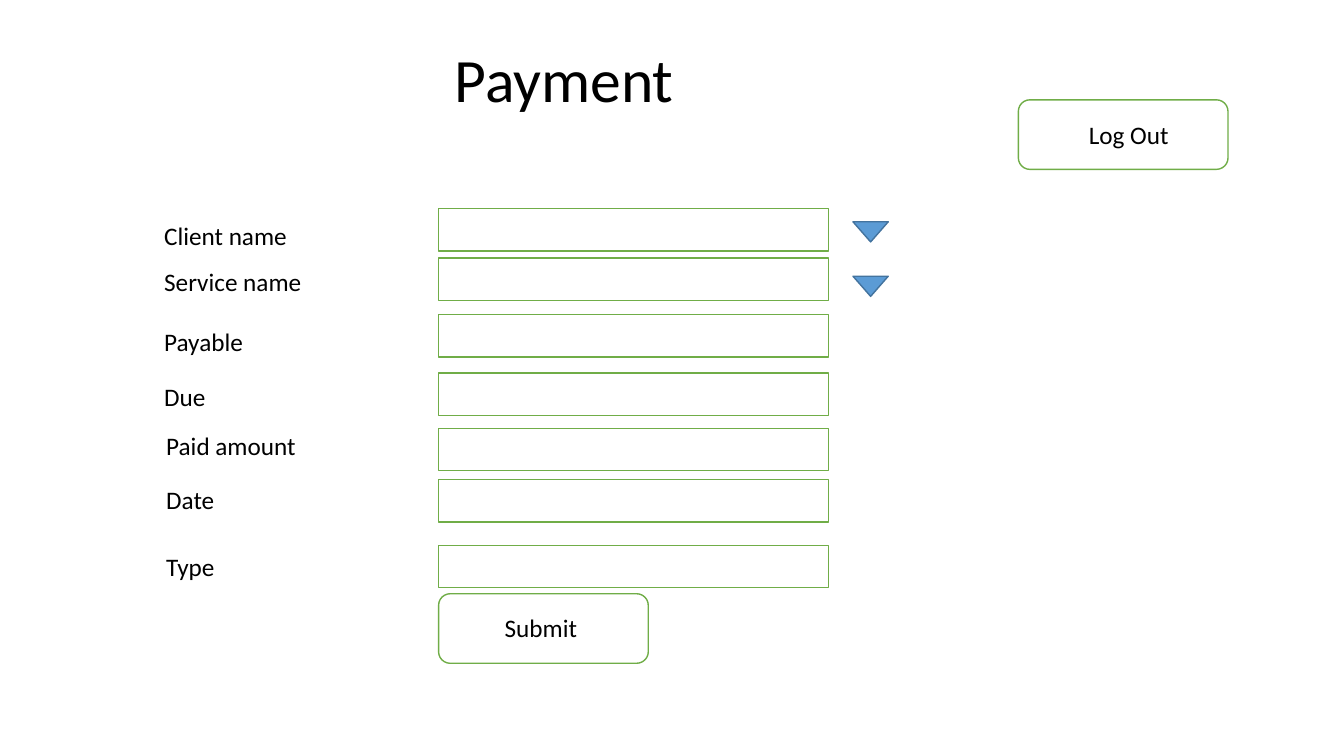
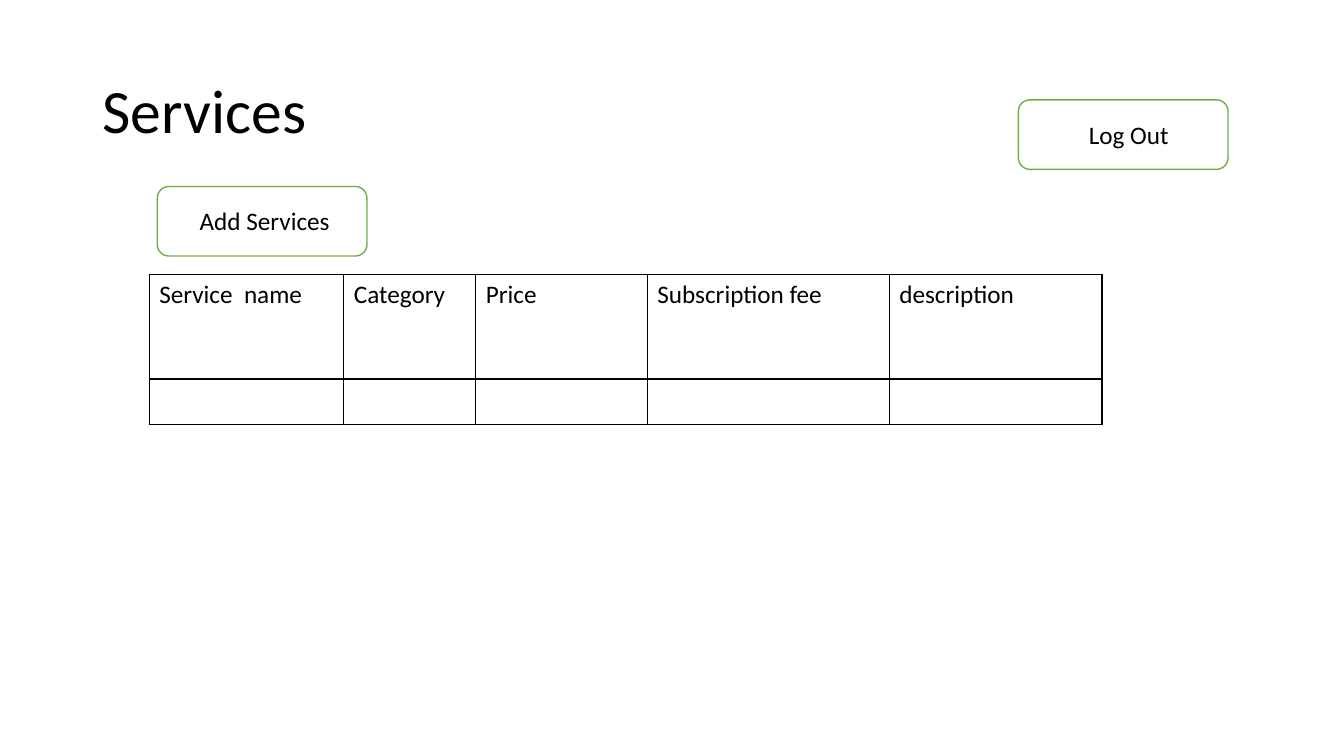
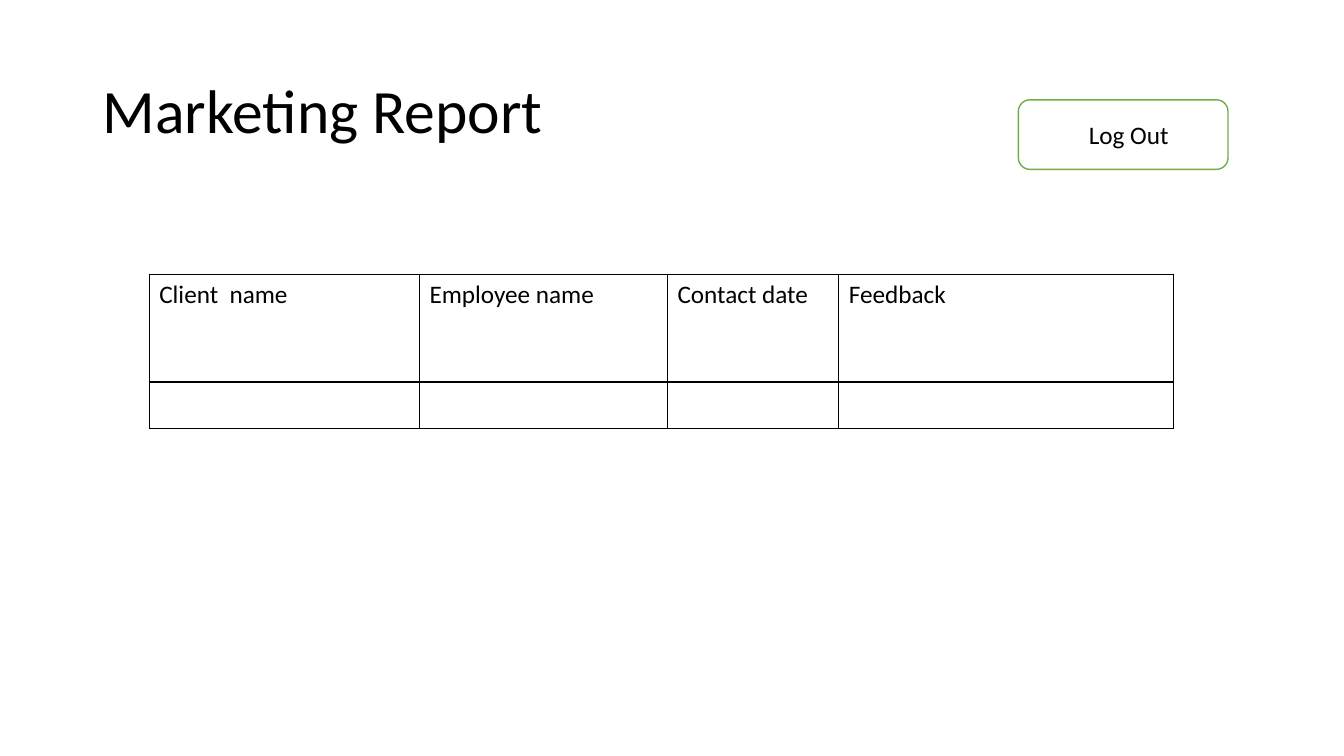
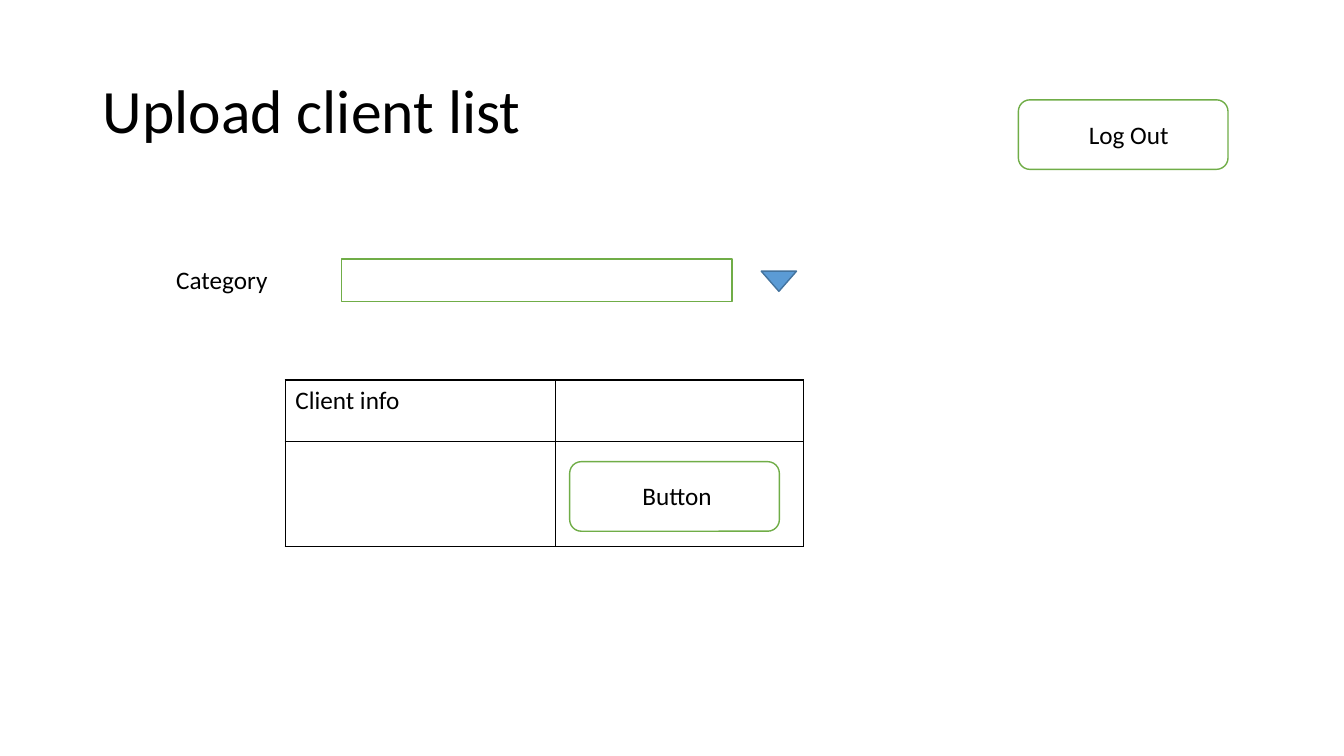
from dataclasses import dataclass

from lxml.etree import SubElement
from pptx import Presentation
from pptx.dml.color import RGBColor
from pptx.enum.shapes import MSO_SHAPE
from pptx.enum.text import MSO_ANCHOR, PP_ALIGN
from pptx.oxml.ns import qn
from pptx.util import Inches, Pt


@dataclass(frozen=True)
class Theme:
    font: str = "Calibri"
    title_size: int = 44
    body_size: int = 18
    line_width: int = 1
    text: str = "000000"
    paper: str = "FFFFFF"
    outline: str = "70AD47"
    arrow: str = "5B9BD5"
    arrow_outline: str = "43739E"
    table_border: str = "000000"


class Wireframe:
    """Holds the theme and the current slide, and draws form elements."""

    def __init__(self, presentation, theme):
        self.presentation = presentation
        self.theme = theme
        self.slide = None

    def new_screen(self, title, left=0.92, top=0.4, width=11.5):
        """Start a slide with the title and the log-out button."""
        self.slide = self.presentation.slides.add_slide(self.presentation.slide_layouts[6])
        paragraph = self.text(title, left, top, width, 1.45, self.theme.title_size, MSO_ANCHOR.MIDDLE)
        paragraph.line_spacing = 0.9
        self.button("Log Out", 10.1, 0.99, label_shift=0.11)

    def set_font(self, paragraph, size):
        paragraph.font.name = self.theme.font
        paragraph.font.size = Pt(size)
        paragraph.font.bold = False
        paragraph.font.color.rgb = RGBColor.from_string(self.theme.text)

    def text(self, words, left, top, width, height=0.4, size=None, anchor=MSO_ANCHOR.TOP):
        box = self.slide.shapes.add_textbox(Inches(left), Inches(top), Inches(width), Inches(height))
        frame = box.text_frame
        frame.word_wrap = True
        frame.vertical_anchor = anchor
        paragraph = frame.paragraphs[0]
        paragraph.text = words
        self.set_font(paragraph, size or self.theme.body_size)
        return paragraph

    def shape(self, kind, left, top, width, height, fill, line):
        shape = self.slide.shapes.add_shape(kind, Inches(left), Inches(top), Inches(width), Inches(height))
        shape.shadow.inherit = False
        shape.fill.solid()
        shape.fill.fore_color.rgb = RGBColor.from_string(fill)
        shape.line.color.rgb = RGBColor.from_string(line)
        shape.line.width = Pt(self.theme.line_width)
        return shape

    def field(self, left, top):
        self.shape(MSO_SHAPE.RECTANGLE, left, top, 3.87, 0.42, self.theme.paper, self.theme.outline)

    def button(self, label, left, top, label_shift=0.08):
        self.shape(MSO_SHAPE.ROUNDED_RECTANGLE, left, top, 2.08, 0.69, self.theme.paper, self.theme.outline)
        self.text(label, left + label_shift, top + 0.14, 1.97).alignment = PP_ALIGN.CENTER

    def dropdown_arrow(self, left, top):
        arrow = self.shape(MSO_SHAPE.ISOSCELES_TRIANGLE, left, top, 0.35, 0.2,
                           self.theme.arrow, self.theme.arrow_outline)
        arrow.rotation = 180

    def table(self, left, top, widths, heights, headers):
        """Add a plain ruled table whose first row holds the headers."""
        table = self.slide.shapes.add_table(
            len(heights), len(widths), Inches(left), Inches(top),
            Inches(sum(widths)), Inches(sum(heights))).table
        table.first_row = table.horz_banding = False
        for column, width in zip(table.columns, widths):
            column.width = Inches(width)
        for row, height in zip(table.rows, heights):
            row.height = Inches(height)
        for cell, header in zip(table.rows[0].cells, headers):
            cell.text = header
        for cell in table.iter_cells():
            self.set_font(cell.text_frame.paragraphs[0], self.theme.body_size)
            self.rule_cell(cell)

    def rule_cell(self, cell):
        properties = cell._tc.get_or_add_tcPr()
        for side in ("a:lnL", "a:lnR", "a:lnT", "a:lnB"):
            line = SubElement(properties, qn(side), w=str(Pt(self.theme.line_width)))
            fill = SubElement(line, qn("a:solidFill"))
            SubElement(fill, qn("a:srgbClr"), val=self.theme.table_border)
        cell.fill.background()


def payment(wireframe):
    wireframe.new_screen("Payment", 4.41, 0.09, 2.63)
    # Label, label left, label top, field top
    rows = [
        ("Client name", 1.53, 2.14, 2.07),
        ("Service name", 1.53, 2.59, 2.56),
        ("Payable", 1.53, 3.19, 3.12),
        ("Due", 1.53, 3.73, 3.7),
        ("Paid amount", 1.55, 4.22, 4.25),
        ("Date", 1.55, 4.76, 4.76),
        ("Type", 1.55, 5.42, 5.41),
    ]
    for label, left, label_top, field_top in rows:
        wireframe.text(label, left, label_top, 1.89)
        wireframe.field(4.35, field_top)
    for arrow_top in (2.2, 2.74):
        wireframe.dropdown_arrow(8.46, arrow_top)
    wireframe.button("Submit", 4.35, 5.89, label_shift=0.03)


def services(wireframe):
    wireframe.new_screen("Services")
    wireframe.button("Add Services", 1.56, 1.85)
    wireframe.table(1.48, 2.72, [1.93, 1.31, 1.7, 2.4, 2.11], [1.04, 0.45],
                    ["Service  name", "Category", "Price", "Subscription fee", "description"])


def marketing_report(wireframe):
    wireframe.new_screen("Marketing Report")
    wireframe.table(1.48, 2.72, [2.68, 2.46, 1.7, 3.32], [1.07, 0.46],
                    ["Client  name", "Employee name", "Contact date", "Feedback"])


def upload_client_list(wireframe):
    wireframe.new_screen("Upload client list", width=4.94)
    # Category picker
    wireframe.text("Category", 1.65, 2.57, 1.87)
    wireframe.field(3.39, 2.57)
    wireframe.dropdown_arrow(7.55, 2.69)
    # Client table with a button in its last cell
    wireframe.table(2.83, 3.77, [2.68, 2.46], [0.61, 1.04], ["Client info"])
    wireframe.button("Button", 5.65, 4.58)


def main():
    presentation = Presentation()
    presentation.slide_width = Inches(13.33)
    presentation.slide_height = Inches(7.5)
    wireframe = Wireframe(presentation, Theme())
    for build in (payment, services, marketing_report, upload_client_list):
        build(wireframe)
    presentation.save("out.pptx")


if __name__ == "__main__":
    main()
